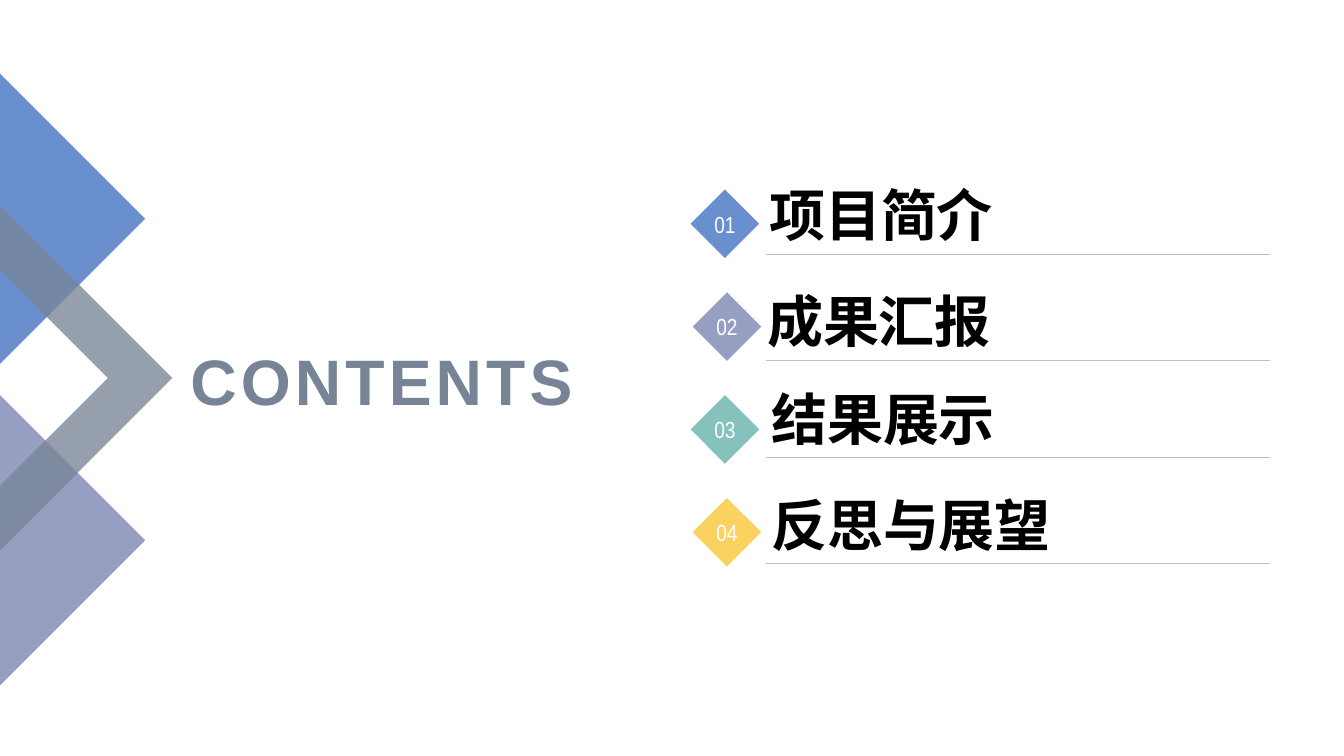
from lxml import etree
from pptx import Presentation
from pptx import util as u
from pptx.dml.color import RGBColor
from pptx.enum import shapes, text
from pptx.oxml.ns import qn

COLORS = {
    "blue": "698FCE", "violet": "969EC2", "teal": "85C2BC", "yellow": "FAD25F",
    "slate": "778495", "rule": "BFBFBF", "black": "000000", "white": "FFFFFF",
}
CHAPTERS = [
    ("项目简介", "blue", 7.53, 2.52),
    ("成果汇报", "violet", 7.51, 3.57),
    ("结果展示", "teal", 7.55, 4.54),
    ("反思与展望", "yellow", 7.55, 5.59),
]
UPPER_TRIANGLE = [(0, 0.73), (1.44, 2.17), (0, 3.61)]
LOWER_TRIANGLE = [(0, 3.92), (1.44, 5.36), (0, 6.8)]
CHEVRON = [(0, 2.04), (1.71, 3.75), (0, 5.46), (0, 4.82), (1.07, 3.75), (0, 2.68)]
DIAMOND_SIZE = 0.68
DIAMOND_STEP = 1.02


def rgb(color):
    return RGBColor.from_string(COLORS[color])


def paint(shape, color, opacity=100):
    shape.shadow.inherit = False
    shape.line.fill.background()
    shape.fill.solid()
    shape.fill.fore_color.rgb = rgb(color)
    if opacity < 100:
        tint = shape.fill._xPr.find(qn("a:solidFill"))[0]
        etree.SubElement(tint, qn("a:alpha"), val=str(opacity * 1000))


def write(shape, words, size, color, font="Arial", bold=False, wrap=False,
          align=text.PP_ALIGN.LEFT, anchor=text.MSO_ANCHOR.MIDDLE):
    frame = shape.text_frame
    frame.word_wrap = wrap
    frame.vertical_anchor = anchor
    line = frame.paragraphs[0]
    line.text = words
    line.alignment = align
    line.font.size = u.Pt(size)
    line.font.name = font
    line.font.bold = bold
    line.font.color.rgb = rgb(color)
    return line


def add_outline(slide, points, color, opacity=100):
    corners = [(u.Inches(x), u.Inches(y)) for x, y in points]
    builder = slide.shapes.build_freeform(*corners[0])
    builder.add_line_segments(corners[1:], close=True)
    paint(builder.convert_to_shape(), color, opacity)


def add_heading(slide):
    heading = slide.shapes.add_textbox(
        u.Inches(1.69), u.Inches(3.26), u.Inches(4.09), u.Inches(1.01))
    line = write(heading, "CONTENTS", 45.9, "slate", bold=True, wrap=True,
                 align=text.PP_ALIGN.RIGHT)
    line.runs[0].font._element.set("spc", "300")


def add_number(slide, index, color):
    diamond = slide.shapes.add_shape(
        shapes.MSO_SHAPE.DIAMOND,
        u.Inches(6.85 + 0.02 * (index % 2)), u.Inches(1.88 + DIAMOND_STEP * index),
        u.Inches(DIAMOND_SIZE), u.Inches(DIAMOND_SIZE))
    paint(diamond, color)
    write(diamond, f"{index + 1:02d}", 16.6, "white", font="Arial Narrow",
          align=text.PP_ALIGN.CENTER)


def add_title(slide, words, left, rule_top):
    title = slide.shapes.add_textbox(
        u.Inches(left), u.Inches(rule_top - 0.34), u.Inches(4.33), u.Inches(0.33))
    write(title, words, 40, "black", bold=True, anchor=text.MSO_ANCHOR.BOTTOM)


def add_rule(slide, top):
    rule = slide.shapes.add_connector(
        shapes.MSO_CONNECTOR.STRAIGHT,
        u.Inches(7.6), u.Inches(top), u.Inches(12.6), u.Inches(top))
    rule.line.color.rgb = rgb("rule")
    rule.line.width = u.Pt(0.25)
    etree.SubElement(rule._element.spPr, qn("a:effectLst"))


def main():
    """Build the contents slide and save it."""
    deck = Presentation()
    deck.slide_width, deck.slide_height = u.Inches(13.33), u.Inches(7.5)
    slide = deck.slides.add_slide(deck.slide_layouts[6])
    add_outline(slide, LOWER_TRIANGLE, "violet")
    add_outline(slide, UPPER_TRIANGLE, "blue")
    add_outline(slide, CHEVRON, "slate", opacity=77)
    add_heading(slide)
    for index, (words, color, left, rule_top) in enumerate(CHAPTERS):
        add_number(slide, index, color)
        add_title(slide, words, left, rule_top)
        add_rule(slide, rule_top)
    deck.save("out.pptx")


if __name__ == "__main__":
    main()
